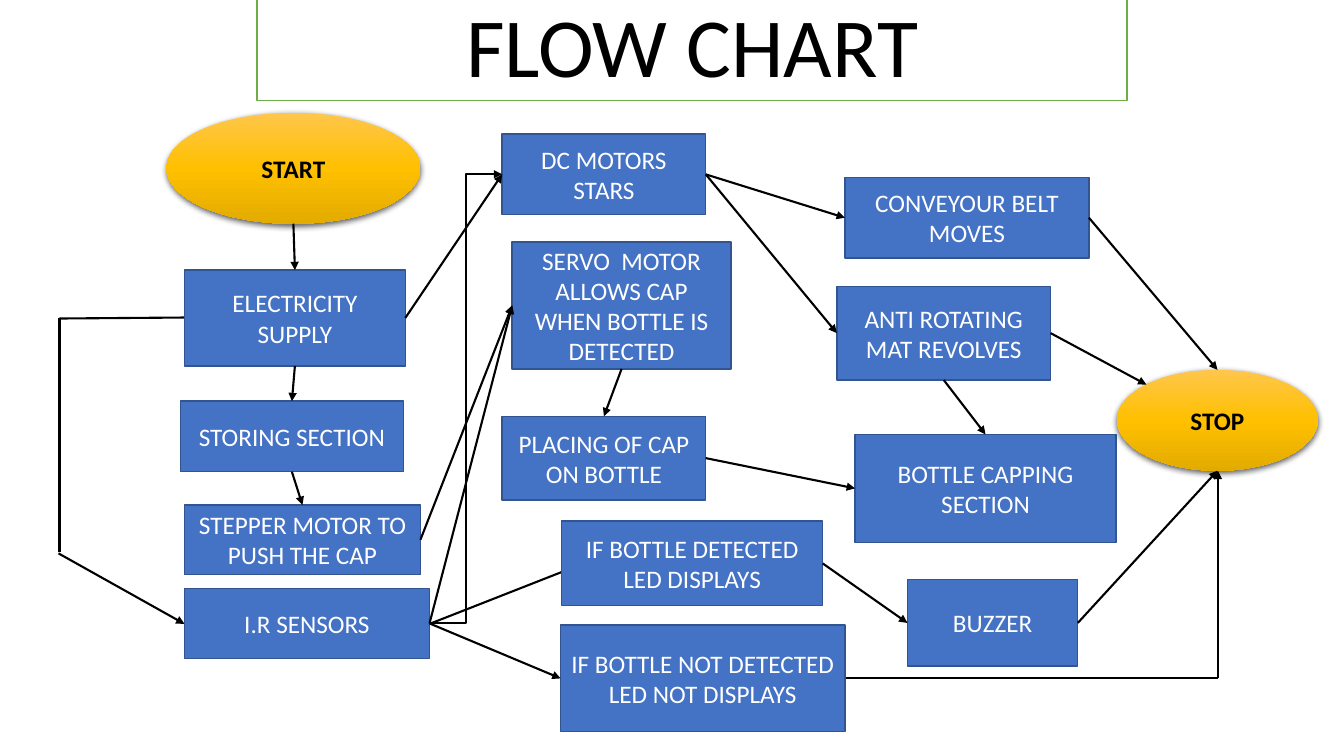
"""Build the flow chart slide of a bottle capping machine."""
from copy import deepcopy

from lxml import etree
from pptx import Presentation
from pptx.dml.color import RGBColor
from pptx.enum.shapes import MSO_CONNECTOR, MSO_SHAPE
from pptx.enum.text import MSO_ANCHOR, PP_ALIGN
from pptx.oxml.ns import qn
from pptx.util import Inches, Pt

RECTANGLE, OVAL = MSO_SHAPE.RECTANGLE, MSO_SHAPE.OVAL
STRAIGHT, ELBOW = MSO_CONNECTOR.STRAIGHT, MSO_CONNECTOR.ELBOW
MIDDLE, BOTTOM, CENTER = MSO_ANCHOR.MIDDLE, MSO_ANCHOR.BOTTOM, PP_ALIGN.CENTER
BLACK, WHITE = RGBColor(0, 0, 0), RGBColor(255, 255, 255)
BLUE, BLUE_EDGE = RGBColor(0x44, 0x72, 0xC4), RGBColor(0x32, 0x54, 0x91)
GREEN = RGBColor(0x70, 0xAD, 0x47)
GOLD_STOPS = [(0, RGBColor(0xFF, 0xC6, 0x4B)), (0.5, RGBColor(0xFF, 0xC0, 0)),
              (1, RGBColor(0xE3, 0xAB, 0))]
CELL = Inches(0.1)
TITLE_FONT = {"name": "Calibri", "size": Pt(60)}
STEP_FONT = {"name": "Calibri", "size": Pt(18)}
TERMINAL_FONT = {**STEP_FONT, "bold": True}
SIDES = {"top": (0, 0.5, 0), "left": (1, 0, 0.5), "bottom": (2, 0.5, 1),
         "right": (3, 1, 0.5), "upper left": (1, 0.146, 0.146)}

presentation = Presentation()
presentation.slide_width, presentation.slide_height = Inches(13.33), Inches(7.5)
slide = presentation.slides.add_slide(presentation.slide_layouts[6])


def add_labelled(kind, text, place, font, color, anchor=MIDDLE):
    """Add a shape placed in grid cells with centred text."""
    shape = slide.shapes.add_shape(kind, *[round(cells * CELL) for cells in place])
    shape.shadow.inherit = False
    shape.text_frame.vertical_anchor = anchor
    paragraph = shape.text_frame.paragraphs[0]
    paragraph.text, paragraph.alignment = text, CENTER
    for name, value in font.items():
        setattr(paragraph.font, name, value)
    paragraph.font.color.rgb = color
    return shape


def add_line(start, end, arrow=True, kind=STRAIGHT):
    """Join two points given in slide units."""
    line = slide.shapes.add_connector(kind, *[round(value) for value in (*start, *end)])
    line.line.color.rgb, line.line.width = BLACK, Pt(1.5)
    if arrow:
        etree.SubElement(line.line._get_or_add_ln(), qn("a:tailEnd"), type="triangle")
    etree.SubElement(line._element.spPr, qn("a:effectLst"))
    return line


title = add_labelled(RECTANGLE, "FLOW CHART", (25.5, -18.4, 86.3, 28.4),
                     TITLE_FONT, BLACK, BOTTOM)
title.text_frame.paragraphs[0].line_spacing = 0.9
title.fill.solid()
title.fill.fore_color.rgb, title.line.color.rgb, title.line.width = WHITE, GREEN, Pt(1)

free_lines = [
    ((18.3, 31.5), (5.9, 31.6), False),
    ((5.9, 31.5), (5.9, 54.8), False),
    ((5.8, 54.9), (18.3, 61.9), True),
    ((42.6, 61.9), (56.6, 56.4), True),
    ((83.8, 67.3), (120.8, 67.3), False),
    ((120.8, 67.3), (120.8, 46.7), True),
]
for start, end, arrow in free_lines:
    add_line([cells * CELL for cells in start], [cells * CELL for cells in end], arrow)

steps = {
    "supply": ("ELECTRICITY SUPPLY", (18.3, 26.8, 21.9, 9.5)),
    "storing": ("STORING SECTION", (17.9, 39.8, 22.1, 7)),
    "stepper": ("STEPPER MOTOR TO PUSH THE CAP", (18.3, 50.1, 23.4, 6.9)),
    "sensors": ("I.R SENSORS", (18.3, 58.4, 24.3, 6.9)),
    "motors": ("DC MOTORS STARS", (49.8, 13.3, 20.2, 8)),
    "servo": ("SERVO  MOTOR ALLOWS CAP WHEN BOTTLE IS DETECTED", (50.8, 24, 21.7, 12.6)),
    "placing": ("PLACING OF CAP ON BOTTLE", (49.8, 41.3, 20.2, 8.3)),
    "detected": ("IF BOTTLE DETECTED LED DISPLAYS", (55.7, 51.7, 25.9, 8.4)),
    "missing": ("IF BOTTLE NOT DETECTED LED NOT DISPLAYS", (55.6, 62, 28.2, 10.6)),
    "conveyor": ("CONVEYOUR BELT MOVES", (83.8, 17.6, 24.2, 8)),
    "mat": ("ANTI ROTATING MAT REVOLVES", (83, 28.4, 21.2, 9.3)),
    "capping": ("BOTTLE CAPPING SECTION", (84.8, 43.1, 25.9, 10.7)),
    "buzzer": ("BUZZER", (90, 57.5, 16.9, 8.6)),
}
nodes = {}
for name, (text, place) in steps.items():
    shape = nodes[name] = add_labelled(RECTANGLE, text, place, STEP_FONT, WHITE)
    shape.fill.solid()
    shape.fill.fore_color.rgb = BLUE
    shape.line.color.rgb, shape.line.width = BLUE_EDGE, Pt(1)

terminals = {"start": ("START", (16.5, 11.2, 25.2, 11)),
             "stop": ("STOP", (110.8, 36.7, 19.9, 10))}
for name, (text, place) in terminals.items():
    shape = nodes[name] = add_labelled(OVAL, text, place, TERMINAL_FONT, BLACK)
    shape.line.fill.background()
    shape.fill.gradient()
    shape.fill.gradient_angle = 270
    stop_list = shape._element.spPr.find(".//" + qn("a:gsLst"))
    stop_list.append(deepcopy(stop_list[0]))
    for stop, (position, color) in zip(shape.fill.gradient_stops, GOLD_STOPS):
        stop.position, stop.color.rgb = position, color
    effects = shape._element.spPr.find(qn("a:effectLst"))
    shadow = etree.SubElement(effects, qn("a:outerShdw"), blurRad=str(Pt(4.5)),
                              dist=str(Pt(1.5)), dir="5400000", rotWithShape="0")
    shadow_color = etree.SubElement(shadow, qn("a:srgbClr"), val=str(BLACK))
    etree.SubElement(shadow_color, qn("a:alpha"), val="63000")

links = [
    ("start", "bottom", "supply", "top", STRAIGHT),
    ("supply", "bottom", "storing", "top", STRAIGHT),
    ("storing", "bottom", "stepper", "top", STRAIGHT),
    ("supply", "right", "motors", "left", STRAIGHT),
    ("motors", "right", "conveyor", "left", STRAIGHT),
    ("motors", "right", "mat", "left", STRAIGHT),
    ("stepper", "right", "servo", "left", STRAIGHT),
    ("sensors", "right", "servo", "left", STRAIGHT),
    ("sensors", "right", "motors", "left", ELBOW),
    ("sensors", "right", "missing", "left", STRAIGHT),
    ("servo", "bottom", "placing", "top", STRAIGHT),
    ("placing", "right", "capping", "left", STRAIGHT),
    ("mat", "bottom", "capping", "top", STRAIGHT),
    ("detected", "right", "buzzer", "left", STRAIGHT),
    ("conveyor", "right", "stop", "top", STRAIGHT),
    ("mat", "right", "stop", "upper left", STRAIGHT),
    ("buzzer", "right", "stop", "bottom", STRAIGHT),
]
for source, source_side, target, target_side, kind in links:
    ends = []
    for name, side in ((source, source_side), (target, target_side)):
        shape, (site, across, down) = nodes[name], SIDES[side]
        ends.append((shape.left + across * shape.width, shape.top + down * shape.height))
    line = add_line(*ends, kind=kind)
    if source not in terminals:
        line.begin_connect(nodes[source], SIDES[source_side][0])
    if target not in terminals:
        line.end_connect(nodes[target], SIDES[target_side][0])

presentation.save("out.pptx")
